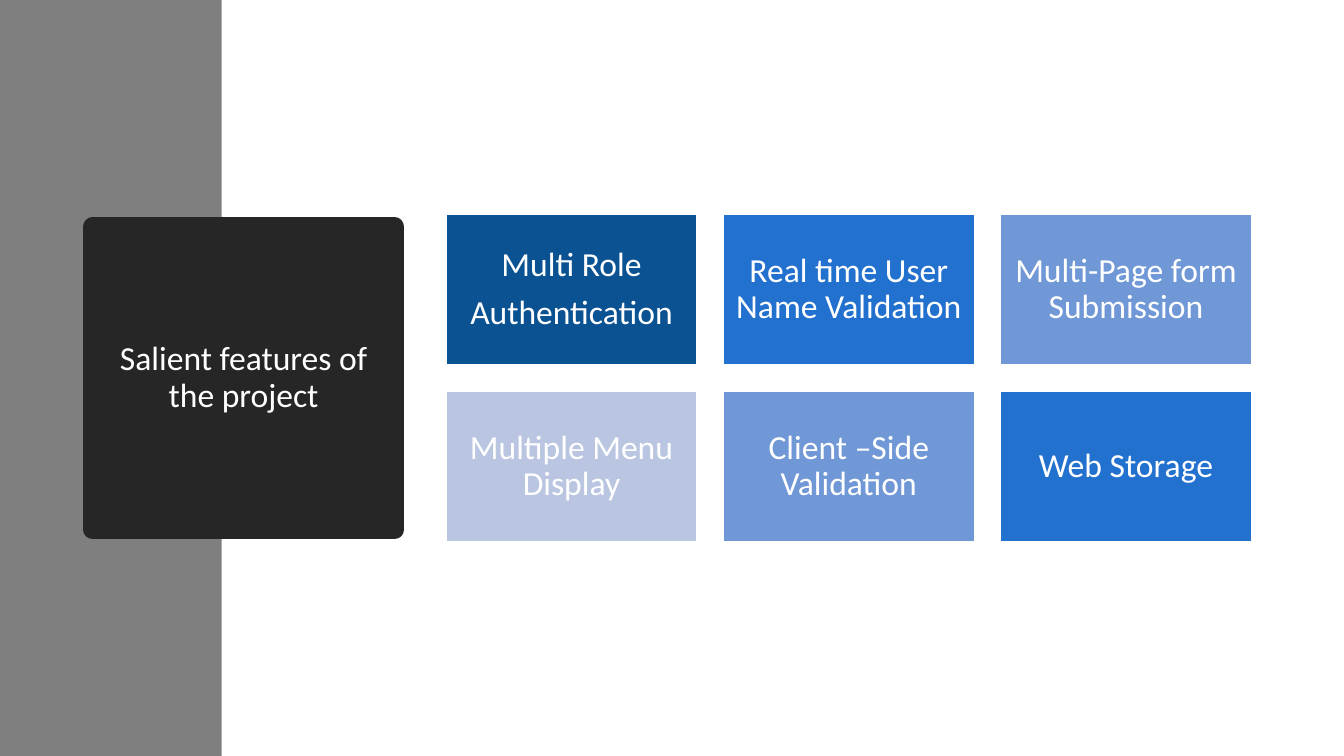
from pptx import Presentation
from pptx.dml.color import RGBColor
from pptx.enum.shapes import MSO_SHAPE
from pptx.enum.text import MSO_ANCHOR, MSO_AUTO_SIZE, PP_ALIGN
from pptx.util import Cm, Pt

RECTANGLE = MSO_SHAPE.RECTANGLE
TITLE_ONLY = 5
COLORS = {
    "band": "7F7F7F",
    "title": "262626",
    "white": "FFFFFF",
    "navy": "0B5292",
    "blue": "2371CF",
    "sky": "7097D6",
    "pale": "B9C5E1",
}
FRAME_FORMAT = {
    "word_wrap": True,
    "auto_size": MSO_AUTO_SIZE.NONE,
    "vertical_anchor": MSO_ANCHOR.MIDDLE,
    "margin_left": Cm(0.25),
    "margin_right": Cm(0.25),
    "margin_top": Cm(0.25),
    "margin_bottom": Cm(0.25),
}
PARAGRAPH_FORMAT = {"alignment": PP_ALIGN.CENTER, "line_spacing": 0.9}
FONT_FORMAT = {"name": "Calibri", "size": Pt(24), "bold": False}
FEATURES = [
    (["Multi Role", "Authentication"], "navy"),
    (["Real time User Name Validation"], "blue"),
    (["Multi-Page form Submission"], "sky"),
    (["Multiple Menu Display"], "pale"),
    (["Client –Side Validation"], "sky"),
    (["Web Storage"], "blue"),
]
COLUMNS = 3
ROWS = 2
GAP = Cm(0.64)


def rgb(name):
    """Return the named colour."""
    return RGBColor.from_string(COLORS[name])


def apply(target, values):
    """Set every format value on the target."""
    for name, value in values.items():
        setattr(target, name, value)


def paint(shape, fill, line, width):
    """Give a shape a solid fill and outline."""
    shape.fill.solid()
    shape.fill.fore_color.rgb = rgb(fill)
    shape.line.color.rgb = rgb(line)
    shape.line.width = width


def write(shape, lines, space_after):
    """Write centred white paragraphs into a shape."""
    frame = shape.text_frame
    frame.text = "\n".join(lines)
    apply(frame, FRAME_FORMAT)
    for para in frame.paragraphs:
        apply(para, PARAGRAPH_FORMAT)
        para.space_after = space_after
        for span in para.runs:
            apply(span.font, FONT_FORMAT)
            span.font.color.rgb = rgb("white")


def add_rectangle(page, box):
    """Add a rectangle without shadow."""
    shape = page.shapes.add_shape(RECTANGLE, *box)
    shape.shadow.inherit = False
    return shape


def add_band(page, box):
    """Place the side band behind the title."""
    band = add_rectangle(page, box)
    paint(band, "band", "band", 0)
    band.line.fill.background()
    page.shapes.title.element.addprevious(band.element)


def add_title(page, box):
    """Place the title as a dark square with a thick outline."""
    title = page.shapes.title
    title.left, title.top, title.width, title.height = box
    paint(title, "title", "title", Pt(13.75))
    write(title, ["Salient features of the project"], Pt(0))


def add_features(page, box):
    """Spread the feature tiles over a grid in the box."""
    left, top, width, height = box
    tile_width = (width - (COLUMNS - 1) * GAP) // COLUMNS
    tile_height = (height - (ROWS - 1) * GAP) // ROWS
    for index, (lines, color) in enumerate(FEATURES):
        row, column = divmod(index, COLUMNS)
        x = left + column * (tile_width + GAP)
        y = top + row * (tile_height + GAP)
        tile = add_rectangle(page, (x, y, tile_width, tile_height))
        paint(tile, color, "white", Pt(1.5))
        write(tile, lines, Pt(8.4))


def main():
    """Build and save the deck."""
    deck = Presentation()
    deck.slide_width, deck.slide_height = Cm(33.87), Cm(19.05)
    page = deck.slides.add_slide(deck.slide_layouts[TITLE_ONLY])
    add_band(page, (0, 0, Cm(5.59), deck.slide_height))
    add_title(page, (Cm(2.33), Cm(5.72), Cm(7.62), Cm(7.62)))
    add_features(page, (Cm(11.23), Cm(5.4), Cm(20.32), Cm(8.26)))
    deck.save("out.pptx")


if __name__ == "__main__":
    main()
